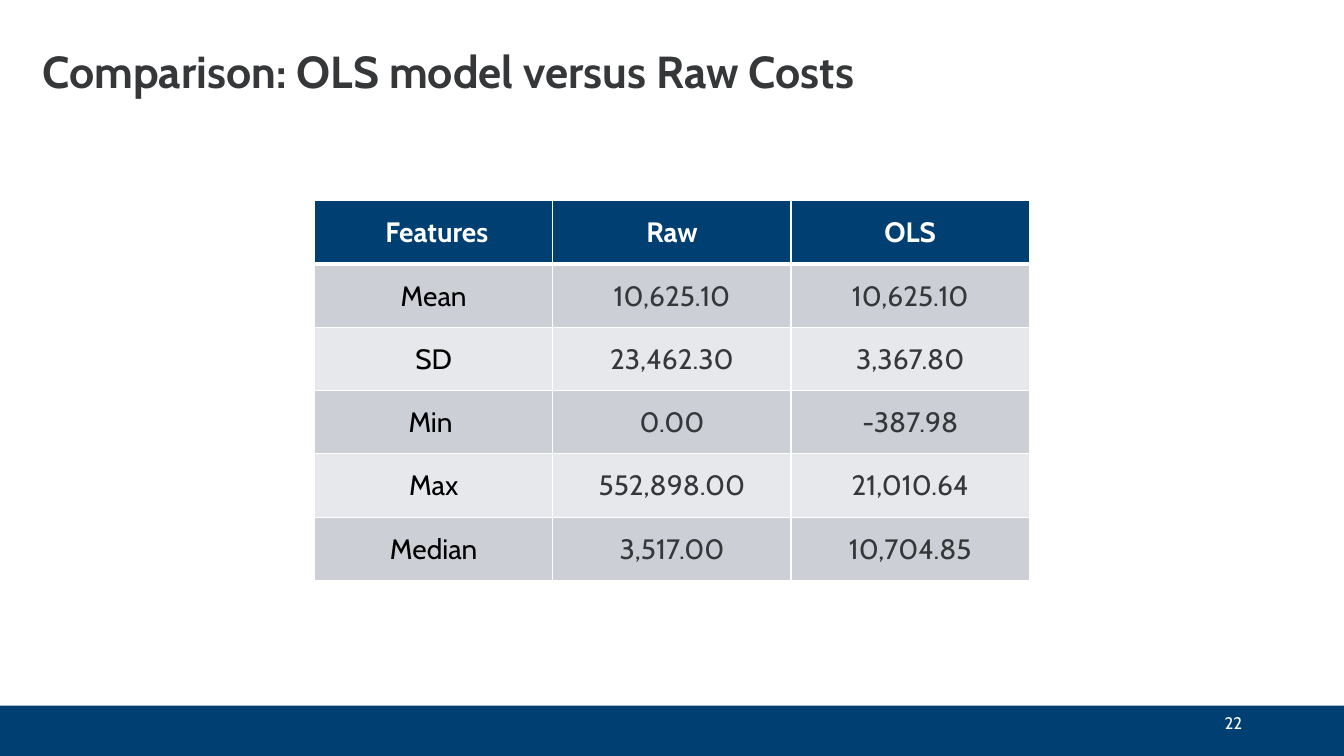
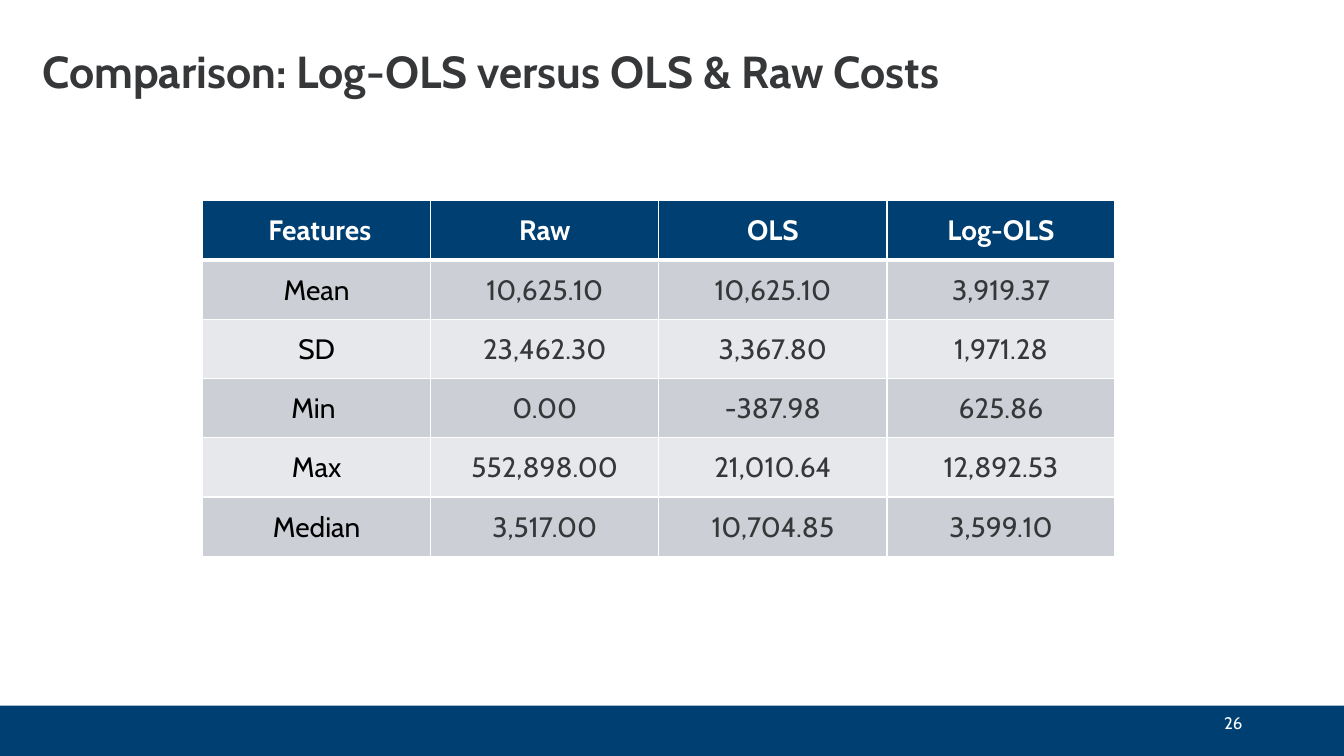
from dataclasses import dataclass

from pptx import Presentation
from pptx.dml.color import RGBColor
from pptx.enum import shapes, text
from pptx.oxml import ns, xmlchemy
from pptx.util import Inches, Pt


@dataclass(frozen=True)
class Theme:
    font: str = "Cabin"
    navy: str = "003F72"
    ink: str = "363739"
    black: str = "000000"
    white: str = "FFFFFF"
    stripes: tuple = ("CCCFD5", "E7E8EB")
    title_size: int = 32
    table_size: int = 20
    number_size: int = 12
    thin_rule: int = 1
    header_rule: int = 3


THEME = Theme()
WIDTH, HEIGHT = Inches(13.33), Inches(7.5)
BAND_HEIGHT = Inches(0.5)

HEADERS = [" Features", "Raw", "OLS", "Log-OLS"]
STATISTICS = [
    ("Mean", "10,625.10", "10,625.10", "3,919.37"),
    ("SD", "23,462.30", "3,367.80", "1,971.28"),
    ("Min ", "0.00", "-387.98", "625.86"),
    ("Max", "552,898.00", "21,010.64", "12,892.53"),
    ("Median", "3,517.00", "10,704.85", "3,599.10"),
]
SLIDES = [
    {
        "title": "Comparison: OLS model versus Raw Costs",
        "number": "22",
        "columns": 3,
        "table": (3.12, 1.99, 7.09, 3.77),
    },
    {
        "title": "Comparison: Log-OLS versus OLS & Raw Costs",
        "number": "26",
        "columns": 4,
        "table": (2.01, 1.99, 9.05, 3.53),
    },
]


def style_text(frame, size, color, bold, alignment):
    frame.vertical_anchor = text.MSO_ANCHOR.MIDDLE
    for paragraph in frame.paragraphs:
        paragraph.alignment = alignment
        for run in paragraph.runs:
            run.font.name = THEME.font
            run.font.size = Pt(size)
            run.font.bold = bold
            run.font.color.rgb = RGBColor.from_string(color)


def set_borders(cell, top, bottom):
    properties = cell._tc.get_or_add_tcPr()
    widths = {"L": THEME.thin_rule, "R": THEME.thin_rule, "T": top, "B": bottom}
    for index, (side, width) in enumerate(widths.items()):
        line = xmlchemy.OxmlElement(f"a:ln{side}")
        line.set("w", str(Pt(width)))
        fill = line.makeelement(ns.qn("a:solidFill"))
        color = line.makeelement(ns.qn("a:srgbClr"), {"val": THEME.white})
        fill.append(color)
        line.append(fill)
        properties.insert(index, line)


def add_band(slide):
    band = slide.shapes.add_shape(
        shapes.MSO_SHAPE.RECTANGLE, 0, HEIGHT - BAND_HEIGHT, WIDTH, BAND_HEIGHT
    )
    band.shadow.inherit = False
    band.fill.solid()
    band.fill.fore_color.rgb = RGBColor.from_string(THEME.navy)
    band.line.fill.background()


def set_title(slide, wording):
    title = slide.shapes.title
    title.left, title.top = Inches(0.32), Inches(0.32)
    title.width, title.height = Inches(11.5), Inches(0.83)
    frame = title.text_frame
    frame.text = wording
    frame.auto_size = text.MSO_AUTO_SIZE.NONE
    frame.paragraphs[0].line_spacing = 0.9
    style_text(frame, THEME.title_size, THEME.ink, True, text.PP_ALIGN.LEFT)


def add_number(slide, number):
    box = slide.shapes.add_textbox(
        Inches(9.42), HEIGHT - BAND_HEIGHT, Inches(3), Inches(0.35)
    )
    frame = box.text_frame
    frame.word_wrap = True
    frame.text = number
    style_text(frame, THEME.number_size, THEME.white, False, text.PP_ALIGN.RIGHT)


def fill_cell(cell, wording, row, column):
    is_header = row == 0
    if is_header:
        background, color = THEME.navy, THEME.white
    else:
        background = THEME.stripes[(row - 1) % 2]
        color = THEME.black if column == 0 else THEME.ink
    cell.text_frame.text = wording
    style_text(
        cell.text_frame, THEME.table_size, color, is_header, text.PP_ALIGN.CENTER
    )
    cell.vertical_anchor = text.MSO_ANCHOR.MIDDLE
    cell.margin_left = cell.margin_right = cell.margin_top = Inches(0.01)
    cell.margin_bottom = 0
    cell.fill.solid()
    cell.fill.fore_color.rgb = RGBColor.from_string(background)
    set_borders(
        cell,
        top=THEME.header_rule if row == 1 else THEME.thin_rule,
        bottom=THEME.header_rule if is_header else THEME.thin_rule,
    )


def add_statistics(slide, column_count, position):
    rows = [HEADERS, *STATISTICS]
    left, top, width, height = map(Inches, position)
    table = slide.shapes.add_table(
        len(rows), column_count, left, top, width, height
    ).table
    for column in table.columns:
        column.width = width // column_count
    for row in table.rows:
        row.height = height // len(rows)
    for row_index, values in enumerate(rows):
        for column_index, wording in enumerate(values[:column_count]):
            cell = table.cell(row_index, column_index)
            fill_cell(cell, wording, row_index, column_index)


def main():
    presentation = Presentation()
    presentation.slide_width, presentation.slide_height = WIDTH, HEIGHT
    title_only = presentation.slide_layouts.get_by_name("Title Only")
    for content in SLIDES:
        slide = presentation.slides.add_slide(title_only)
        add_band(slide)
        set_title(slide, content["title"])
        add_number(slide, content["number"])
        add_statistics(slide, content["columns"], content["table"])
    presentation.save("out.pptx")


if __name__ == "__main__":
    main()
